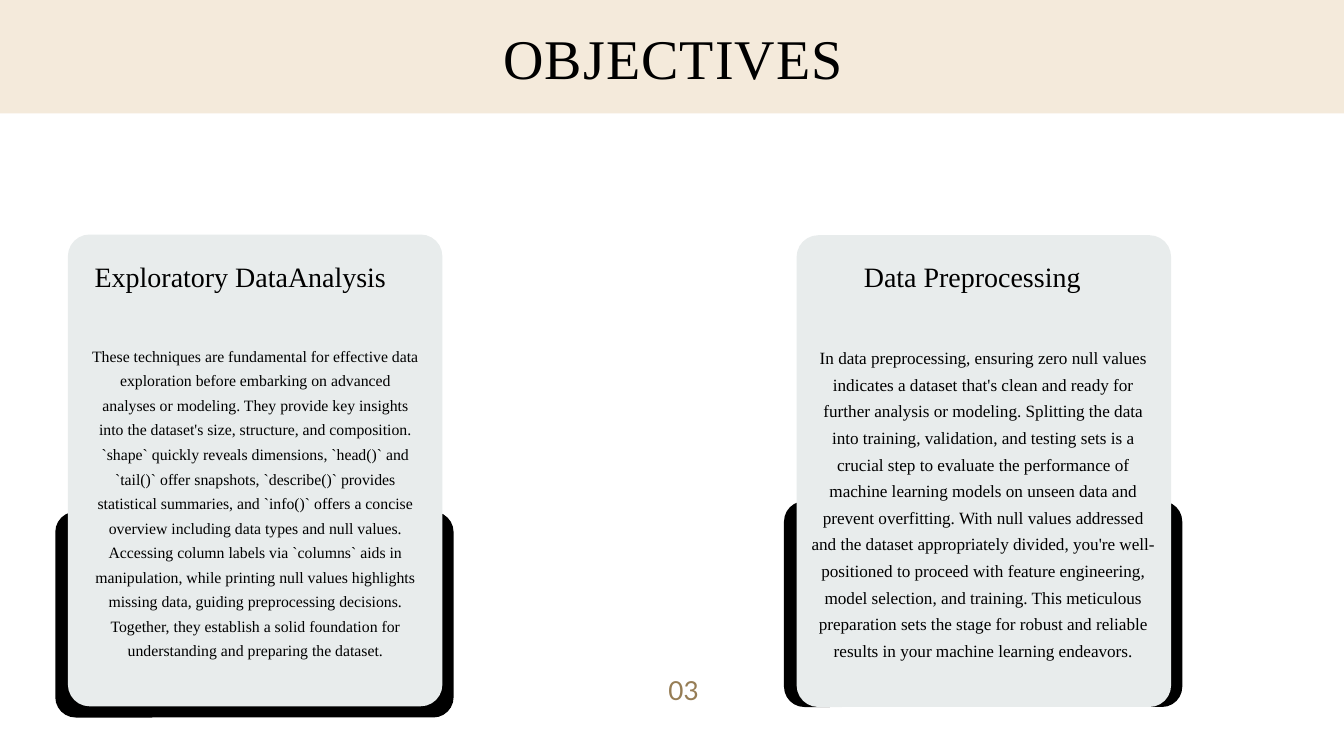
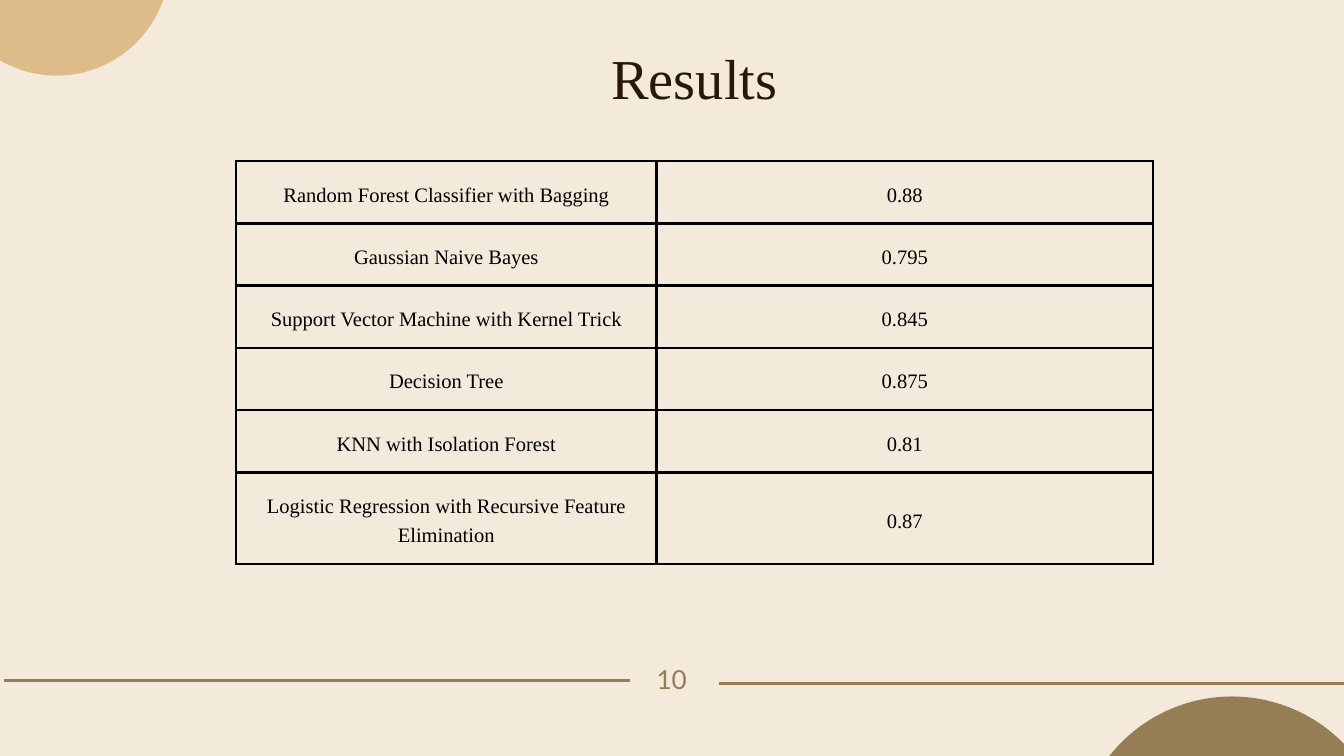
from dataclasses import dataclass

from lxml import etree
from pptx import Presentation
from pptx import util as u
from pptx.dml.color import RGBColor
from pptx.enum import shapes, text
from pptx.oxml.ns import qn

PX = 9525
WIDTH, HEIGHT = 1920, 1080
TITLE_ONLY = 5
SERIF, SANS = "Times New Roman", "Lato"
CENTER, LEFT = text.PP_ALIGN.CENTER, text.PP_ALIGN.LEFT
RECT = shapes.MSO_SHAPE.RECTANGLE
ROUNDED = shapes.MSO_SHAPE.ROUNDED_RECTANGLE
OVAL = shapes.MSO_SHAPE.OVAL
COLORS = {
    "black": "000000",
    "cream": "F4EADB",
    "panel": "E8ECEC",
    "brown": "967D55",
    "tan": "DDBC8A",
    "dark": "271905",
}


@dataclass(frozen=True)
class Box:
    x: int
    y: int
    w: int
    h: int

    def emu(self) -> tuple[int, ...]:
        return tuple(v * PX for v in (self.x, self.y, self.w, self.h))


@dataclass(frozen=True)
class Card:
    shadow: Box
    panel: Box
    heading: str
    heading_box: Box
    body: str
    body_box: Box
    size: float
    leading: float


CARDS = [
    Card(
        Box(79, 731, 569, 294), Box(97, 335, 535, 674),
        "Exploratory DataAnalysis", Box(108, 363, 471, 59),
        "These techniques are fundamental for effective data exploration before "
        "embarking on advanced analyses or modeling. They provide key insights into "
        "the dataset's size, structure, and composition. `shape` quickly reveals "
        "dimensions, `head()` and `tail()` offer snapshots, `describe()` provides "
        "statistical summaries, and `info()` offers a concise overview including "
        "data types and null values. Accessing column labels via `columns` aids in "
        "manipulation, while printing null values highlights missing data, guiding "
        "preprocessing decisions. Together, they establish a solid foundation for "
        "understanding and preparing the dataset.",
        Box(131, 487, 468, 492), 16.9, 26.3,
    ),
    Card(
        Box(1120, 716, 569, 294), Box(1138, 336, 535, 674),
        "Data Preprocessing", Box(1155, 363, 468, 59),
        "In data preprocessing, ensuring zero null values indicates a dataset that's "
        "clean and ready for further analysis or modeling. Splitting the data into "
        "training, validation, and testing sets is a crucial step to evaluate the "
        "performance of machine learning models on unseen data and prevent "
        "overfitting. With null values addressed and the dataset appropriately "
        "divided, you're well-positioned to proceed with feature engineering, model "
        "selection, and training. This meticulous preparation sets the stage for "
        "robust and reliable results in your machine learning endeavors.",
        Box(1155, 488, 499, 483), 18.4, 28.5,
    ),
]

RESULTS = [
    ("Random Forest Classifier with Bagging", "0.88"),
    ("Gaussian Naive Bayes", "0.795"),
    ("Support Vector Machine with Kernel Trick", "0.845"),
    ("Decision Tree", "0.875"),
    ("KNN with Isolation Forest", "0.81"),
    ("Logistic Regression with Recursive Feature Elimination", "0.87"),
]
TABLE_AT = (337, 230)
COLUMN_WIDTHS = (601, 709)
ROW_HEIGHTS = (89,) * 5 + (131,)
CELL_MARGIN = 20


def rgb(name: str) -> RGBColor:
    return RGBColor.from_string(COLORS[name])


def write(tf, content: str, *, size: float, leading: float, font: str = SERIF,
          color: str = "black", align=CENTER, spacing: int = 0) -> None:
    p = tf.paragraphs[0]
    p.alignment = align
    p.line_spacing = u.Pt(leading)
    r = p.add_run()
    r.text = content
    r.font.name = font
    r.font.size = u.Pt(size)
    r.font.color.rgb = rgb(color)
    if spacing:
        r.font._element.set("spc", str(spacing))


def prepare_frame(tf) -> None:
    tf.auto_size = text.MSO_AUTO_SIZE.NONE
    tf.word_wrap = True
    tf.vertical_anchor = text.MSO_ANCHOR.TOP
    tf.margin_left = tf.margin_right = tf.margin_top = tf.margin_bottom = 0


def add_text(s, box: Box, content: str, **style) -> None:
    tf = s.shapes.add_textbox(*box.emu()).text_frame
    prepare_frame(tf)
    write(tf, content, **style)


def add_title(s, box: Box, content: str, **style) -> None:
    sp = s.shapes.title
    sp.left, sp.top, sp.width, sp.height = box.emu()
    prepare_frame(sp.text_frame)
    write(sp.text_frame, content, **style)
    sp.element.getparent().append(sp.element)


def add_number(s, x: int, y: int, content: str) -> None:
    add_text(s, Box(x, y, 695, 39), content, size=28, leading=28, font=SANS, color="brown")


def add_filled(s, kind, box: Box, color: str, radius: int = 0) -> None:
    sp = s.shapes.add_shape(kind, *box.emu())
    sp.shadow.inherit = False
    sp.fill.solid()
    sp.fill.fore_color.rgb = rgb(color)
    sp.line.fill.background()
    if radius:
        sp.adjustments[0] = radius / min(box.w, box.h)


def add_rule(s, x1: int, x2: int, y: int) -> None:
    line = s.shapes.add_connector(
        shapes.MSO_CONNECTOR.STRAIGHT, x1 * PX, y * PX, x2 * PX, y * PX)
    line.line.color.rgb = rgb("brown")
    line.line.width = u.Pt(3)
    etree.SubElement(line.element.spPr, qn("a:effectLst"))


def add_card(s, card: Card) -> None:
    add_filled(s, ROUNDED, card.shadow, "black", radius=29)
    add_filled(s, ROUNDED, card.panel, "panel", radius=31)
    add_text(s, card.heading_box, card.heading, size=30, leading=42)
    add_text(s, card.body_box, card.body, size=card.size, leading=card.leading)


def border_cell(cell) -> None:
    tc_pr = cell._tc.get_or_add_tcPr()
    for side in ("lnL", "lnR", "lnT", "lnB"):
        ln = etree.SubElement(tc_pr, qn(f"a:{side}"), w=str(u.Pt(3)))
        fill = etree.SubElement(ln, qn("a:solidFill"))
        etree.SubElement(fill, qn("a:srgbClr"), val=COLORS["black"])


def add_results_table(s) -> None:
    box = Box(*TABLE_AT, sum(COLUMN_WIDTHS), sum(ROW_HEIGHTS))
    table = s.shapes.add_table(len(RESULTS), len(COLUMN_WIDTHS), *box.emu()).table
    table.first_row = table.horz_banding = False
    for column, width in zip(table.columns, COLUMN_WIDTHS):
        column.width = width * PX
    for row, height, values in zip(table.rows, ROW_HEIGHTS, RESULTS):
        row.height = height * PX
        for cell, value in zip(row.cells, values):
            border_cell(cell)
            cell.fill.background()
            cell.vertical_anchor = text.MSO_ANCHOR.MIDDLE
            cell.margin_left = cell.margin_right = CELL_MARGIN * PX
            cell.margin_top = cell.margin_bottom = CELL_MARGIN * PX
            write(cell.text_frame, value, size=22, leading=30.8)


def build_objectives(prs) -> None:
    s = prs.slides.add_slide(prs.slide_layouts[TITLE_ONLY])
    for card in CARDS:
        add_card(s, card)
    add_filled(s, RECT, Box(0, 0, WIDTH, 162), "cream")
    add_title(s, Box(719, 17, 534, 119), "OBJECTIVES",
              size=60, leading=84, align=LEFT, spacing=120)
    add_number(s, 629, 971, "03")


def build_results(prs) -> None:
    s = prs.slides.add_slide(prs.slide_layouts[TITLE_ONLY])
    s.background.fill.solid()
    s.background.fill.fore_color.rgb = rgb("cream")
    add_filled(s, OVAL, Box(1537, 995, 446, 446), "brown")
    add_filled(s, OVAL, Box(-80, -214, 322, 322), "tan")
    add_number(s, 612, 955, "10")
    add_rule(s, 6, 900, 972)
    add_rule(s, 1027, WIDTH, 976)
    add_results_table(s)
    add_title(s, Box(573, 62, 838, 108), "Results", size=60.4, leading=72.5, color="dark")


def main() -> None:
    prs = Presentation()
    prs.slide_width, prs.slide_height = WIDTH * PX, HEIGHT * PX
    build_objectives(prs)
    build_results(prs)
    prs.save("out.pptx")


if __name__ == "__main__":
    main()
